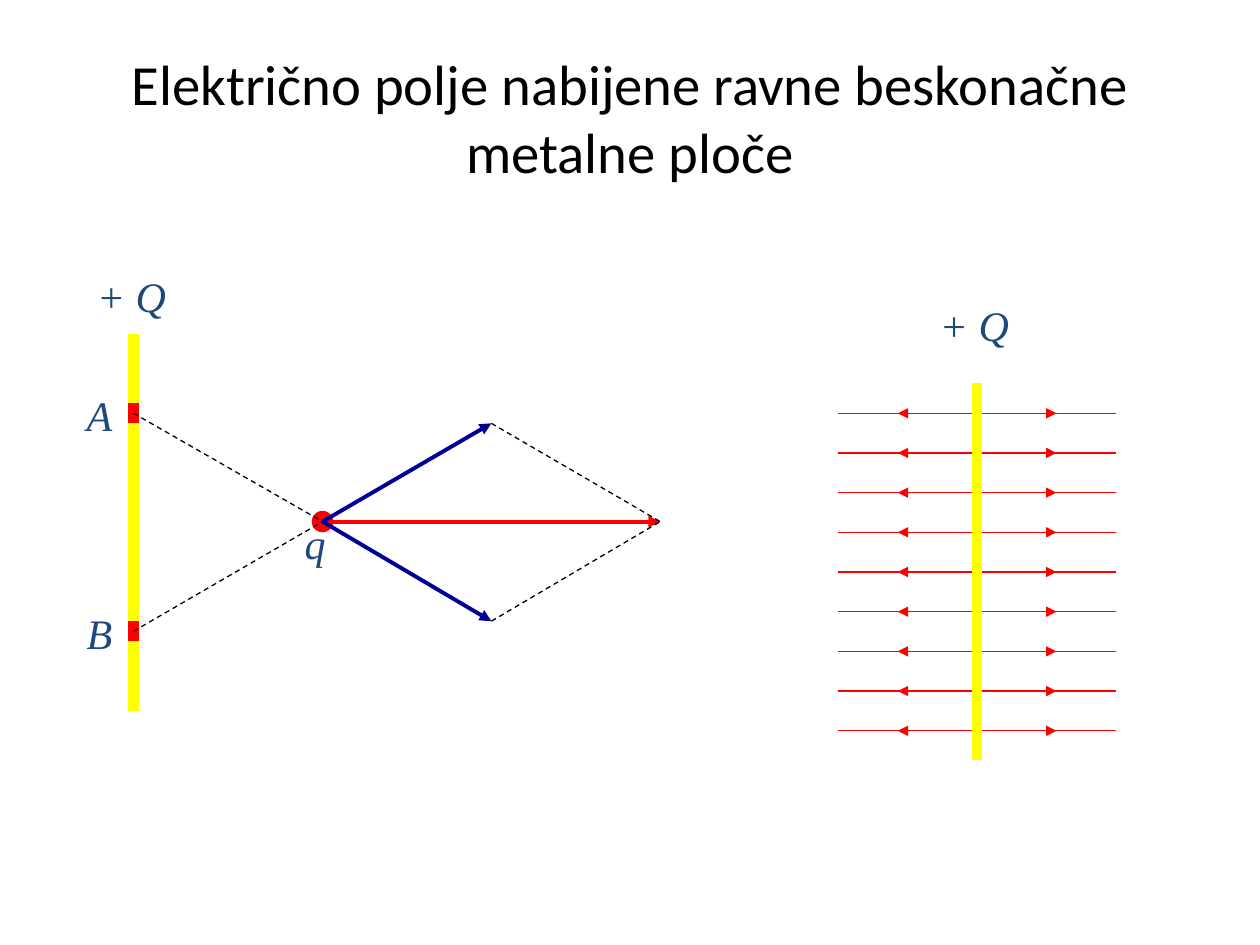
from lxml import etree
from pptx import Presentation
from pptx.dml.color import RGBColor
from pptx.enum import dml, shapes, text
from pptx.oxml.ns import qn
from pptx.util import Inches, Pt

BLACK = RGBColor(0x00, 0x00, 0x00)
YELLOW = RGBColor(0xFF, 0xFF, 0x00)
RED = RGBColor(0xFF, 0x00, 0x00)
NAVY = RGBColor(0x00, 0x00, 0x99)
BLUE = RGBColor(0x1F, 0x49, 0x7D)


def add_line(parent, start, end, color, width=0.75, dashed=False, arrows=()):
    line = parent.add_connector(
        shapes.MSO_CONNECTOR.STRAIGHT, *map(Inches, (*start, *end)))
    line.line.color.rgb = color
    line.line.width = Pt(width)
    if dashed:
        line.line.dash_style = dml.MSO_LINE.DASH
    for arrow in arrows:
        etree.SubElement(line.line._get_or_add_ln(), qn("a:" + arrow), type="triangle")
    etree.SubElement(line._element.spPr, qn("a:effectLst"))


def add_label(parent, left, top, width, wording, wrap=False):
    label = parent.add_textbox(*map(Inches, (left, top, width, 0.5)))
    label.text_frame.word_wrap = wrap
    label.text_frame.auto_size = text.MSO_AUTO_SIZE.SHAPE_TO_FIT_TEXT
    run = label.text_frame.paragraphs[0].add_run()
    run.text = wording
    run.font.name = "Times New Roman"
    run.font.size = Pt(24)
    run.font.italic = True
    run.font.color.rgb = BLUE


def add_title(parent, left, top, width, height):
    title = parent.add_textbox(*map(Inches, (left, top, width, height)))
    frame = title.text_frame
    frame.word_wrap = True
    frame.vertical_anchor = text.MSO_ANCHOR.MIDDLE
    heading = frame.paragraphs[0]
    heading.alignment = text.PP_ALIGN.CENTER
    run = heading.add_run()
    run.text = "Električno polje nabijene ravne beskonačne metalne ploče"
    run.font.name = "Calibri"
    run.font.size = Pt(32.4)
    run.font.color.rgb = BLACK


def add_charge_forces(parent, left, top):
    plate_x = left + 0.47
    charge = (left + 1.97, top + 2.04)
    resultant = (left + 4.65, charge[1])
    sources = {"A": top + 1.18, "B": top + 2.91}
    force_tips = [(left + 3.31, top + y) for y in (1.26, 2.83)]

    add_line(parent, (plate_x, top + 0.55), (plate_x, top + 3.54), YELLOW, 6)
    add_line(parent, (charge[0] + 0.08, charge[1]), resultant, RED, 2.25, arrows=["tailEnd"])
    for y in sources.values():
        add_line(parent, (plate_x, y - 0.08), (plate_x, y + 0.08), RED, 6)

    point = parent.add_shape(
        shapes.MSO_SHAPE.OVAL,
        *map(Inches, (charge[0] - 0.08, charge[1] - 0.08, 0.16, 0.16)))
    point.shadow.inherit = False
    point.fill.solid()
    point.fill.fore_color.rgb = RED
    point.line.color.rgb = RED
    point.line.width = Pt(0.75)

    for y in sources.values():
        add_line(parent, (plate_x, y), charge, BLACK, dashed=True)
    for tip in force_tips:
        add_line(parent, charge, tip, NAVY, 2.25, arrows=["tailEnd"])
        add_line(parent, tip, resultant, BLACK, dashed=True)

    for name, y in sources.items():
        add_label(parent, left, y - 0.24, 0.4, name)
    add_label(parent, left + 1.73, top + 1.96, 0.37, "q")
    add_label(parent, left + 0.08, top, 0.79, "+ Q", wrap=True)


def add_field_lines(parent, left, top, width, count=9, gap=0.315):
    plate_x = left + width / 2
    rows = [top + 0.95 + gap * row for row in range(count)]
    add_label(parent, left + 0.71, top, 0.79, "+ Q", wrap=True)
    for y in rows:
        add_line(parent, (left, y), (left + width, y), RED)
    for y in rows:
        add_line(parent, (plate_x - 0.63, y), (plate_x + 0.63, y), RED,
                 arrows=["headEnd", "tailEnd"])
    add_line(parent, (plate_x, top + 0.71), (plate_x, top + 3.7), YELLOW, 6)


def main():
    deck = Presentation()
    deck.slide_width = Inches(10)
    deck.slide_height = Inches(7.5)
    slide = deck.slides.add_slide(deck.slide_layouts[6])
    add_title(slide.shapes, 0.5, 0.3, 9, 1.25)
    add_charge_forces(slide.shapes, 0.59, 2.1)
    add_field_lines(slide.shapes.add_group_shape().shapes, 6.65, 2.33, 2.21)
    deck.save("out.pptx")


if __name__ == "__main__":
    main()
